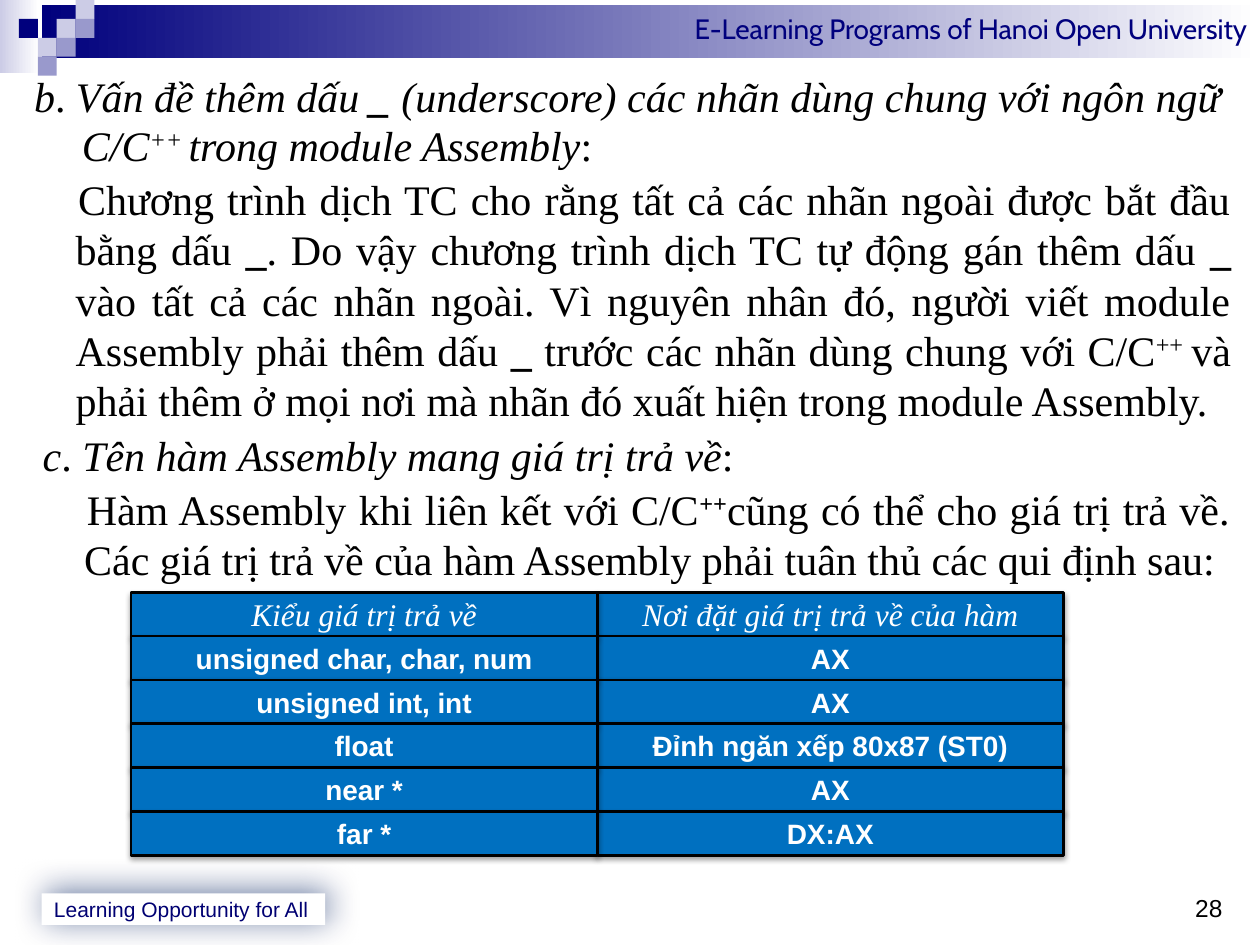
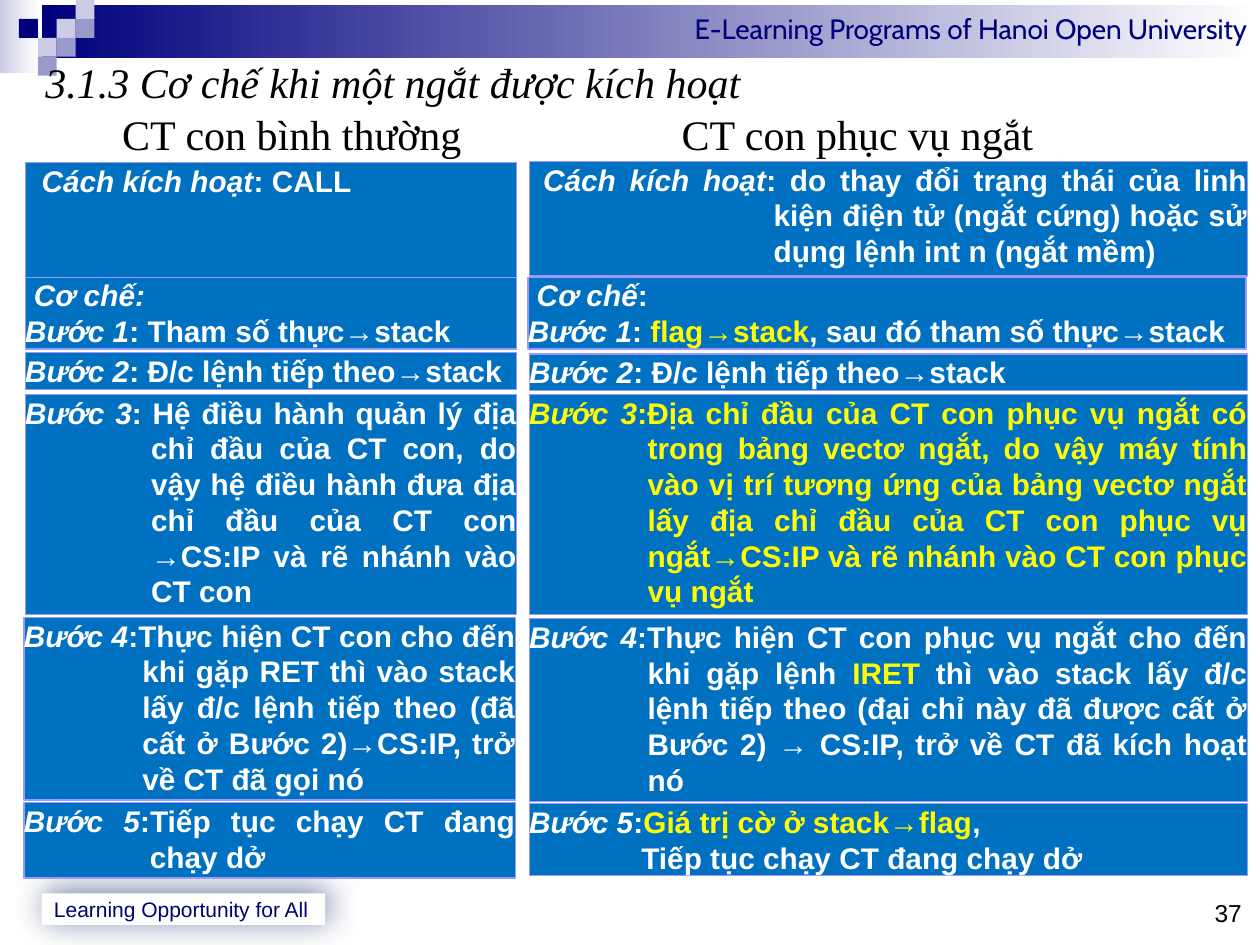
from typing import NamedTuple

from pptx import Presentation
from pptx.dml.color import RGBColor
from pptx.enum.shapes import MSO_SHAPE as Shape
from pptx.enum.text import MSO_ANCHOR as Anchor, MSO_AUTO_SIZE as AutoSize, PP_ALIGN as Align
from pptx.oxml import parse_xml
from pptx.oxml.ns import nsdecls
from pptx.util import Inches, Pt

NAVY = RGBColor(0x00, 0x00, 0x7D)
FOOTER_NAVY = RGBColor(0x00, 0x00, 0x72)
GLOW_NAVY = RGBColor(0x00, 0x20, 0x60)
LAVENDER = RGBColor(0xCC, 0xCC, 0xE6)
VIOLET = RGBColor(0x99, 0x99, 0xCC)
CARD_EDGE = RGBColor(0x99, 0x99, 0xFF)
BLUE = RGBColor(0x00, 0x70, 0xC0)
YELLOW = RGBColor(0xFF, 0xFF, 0x00)
WHITE = RGBColor(0xFF, 0xFF, 0xFF)
BLACK = RGBColor(0x00, 0x00, 0x00)
SERIF, SANS = "Times New Roman", "Arial"

TILE = 0.15
MOSAIC = [(3, 1, LAVENDER), (4, 0, LAVENDER), (4, 1, VIOLET), (2, 2, LAVENDER),
          (1, 1, NAVY), (3, 2, VIOLET), (2, 3, VIOLET)]

RETURN_VALUES = [
    ("Kiểu giá trị trả về", "Nơi đặt giá trị trả về của hàm"),
    ("unsigned char, char, num", "AX"),
    ("unsigned int, int", "AX"),
    ("float", "Đỉnh ngăn xếp 80x87 (ST0)"),
    ("near *", "AX"),
    ("far *", "DX:AX"),
]


class Para(NamedTuple):
    runs: list
    left: float = 0
    first: float = 0
    align: Align = Align.LEFT


def hanging(runs, left, lead=0):
    return Para(runs, left, lead - left, Align.JUSTIFY)


NORMAL_WIDTH, INTERRUPT_WIDTH = 3.9, 5.7
NORMAL_PLACES = [(0.2, 1.29, 0.91), (0.2, 2.2, 0.57), (0.2, 2.8, 0.29),
                 (0.2, 3.13, 1.75), (0.19, 4.9, 1.45), (0.19, 6.37, 0.6)]
INTERRUPT_PLACES = [(4.2, 1.28, 0.91), (4.19, 2.2, 0.57), (4.2, 2.81, 0.29),
                    (4.2, 3.13, 1.75), (4.2, 4.91, 1.45), (4.2, 6.38, 0.57)]
STEP_2 = [Para([("Bước 2", "i"), ": Đ/c lệnh tiếp theo→stack"])]
NORMAL_CALL = [
    [Para([("Cách kích hoạt", "i"), ": CALL"], first=0.13)],
    [Para([("Cơ chế:", "i")], first=0.07),
     Para([("Bước 1", "i"), ": Tham số thực→stack"])],
    STEP_2,
    [hanging([("Bước 3", "i"), ": Hệ điều hành quản lý địa chỉ đầu của CT con, do vậy hệ điều "
              "hành đưa địa chỉ đầu của CT con →CS:IP và rẽ nhánh vào CT con"], 1)],
    [hanging([("Bước 4", "i"), ":Thực hiện CT con cho đến khi gặp RET thì vào stack lấy đ/c lệnh "
              "tiếp theo (đã cất ở Bước 2)→CS:IP, trở về CT đã gọi nó"], 0.94)],
    [hanging([("Bước 5", "i"), ":Tiếp tục chạy CT đang chạy dở"], 1)],
]
INTERRUPT_CALL = [
    [hanging([("Cách kích hoạt", "i"), ": do thay đổi trạng thái của linh kiện điện tử "
              "(ngắt cứng) hoặc sử dụng lệnh int n (ngắt mềm)"], 1.94, 0.11)],
    [Para([("Cơ chế", "i"), ":"], first=0.07),
     Para([("Bước 1", "i"), ": ", ("flag→stack", "y"), ", sau đó tham số thực→stack"])],
    STEP_2,
    [hanging([("Bước 3", "iy"), (":Địa chỉ đầu của CT con phục vụ ngắt có trong bảng vectơ ngắt, "
              "do vậy máy tính vào vị trí tương ứng của bảng vectơ ngắt lấy địa chỉ đầu của CT con "
              "phục vụ ngắt→CS:IP và rẽ nhánh vào CT con phục vụ ngắt", "y")], 0.94)],
    [hanging([("Bước 4", "i"), ":Thực hiện CT con phục vụ ngắt cho đến khi gặp lệnh ",
              ("IRET ", "y"), "thì vào stack lấy đ/c lệnh tiếp theo (đại chỉ này đã được cất ở "
              "Bước 2) → CS:IP, trở về CT đã kích hoạt nó"], 0.94)],
    [hanging([("Bước 5", "i"), ":", ("Giá trị cờ ở stack→flag", "y"), ","], 0.89),
     Para(["Tiếp tục chạy CT đang chạy dở"], 0.89, 0, Align.JUSTIFY)],
]

LABEL_HEADING = Para([
    ("b", "i"), ". ", ("Vấn đề thêm dấu ", "i"), ("_", "bi"),
    (" (underscore) các nhãn dùng chung với ngôn ngữ C/C", "i"), ("++ ", "i^"),
    ("trong module Assembly", "i"), ":"], 0.38, -0.38)
LABEL_RULE = Para([
    "Chương trình dịch TC cho rằng tất cả các nhãn ngoài được bắt đầu bằng dấu ", ("_", "b"),
    ". Do vậy chương trình dịch TC tự động gán thêm dấu ", ("_ ", "b"),
    "vào tất cả các nhãn ngoài. Vì nguyên nhân đó, người viết module Assembly phải thêm dấu ",
    ("_ ", "b"), "trước các nhãn dùng chung với C/C", ("++ ", "^"),
    "và phải thêm ở mọi nơi mà nhãn đó xuất hiện trong module Assembly."],
    0.33, 0.02, Align.JUSTIFY)
RETURN_HEADING = Para([("c", "i"), ". ", ("Tên hàm Assembly mang giá trị trả về", "i"), ":"],
                      0.38, -0.38)
RETURN_RULE = Para([
    "Hàm Assembly khi liên kết với C/C", ("++", "b^"),
    "cũng có thể cho giá trị trả về. Các giá trị trả về của hàm Assembly phải tuân thủ "
    "các qui định sau:"], 0.33, 0.02, Align.JUSTIFY)


def set_font(font, name, size, color, bold=False, italic=False):
    font.name, font.size, font.bold, font.italic = name, Pt(size), bold, italic
    font.color.rgb = color


def add_run(paragraph, text, flags=""):
    run = paragraph.add_run()
    run.text = text
    if "i" in flags:
        run.font.italic = True
    if "b" in flags:
        run.font.bold = True
    if "y" in flags:
        run.font.color.rgb = YELLOW
    if "^" in flags:
        run._r.get_or_add_rPr().set("baseline", "30000")


def fill_text(frame, paras, name, size, color, bold=False, italic=False, gap=0, inset=None,
              anchor=Anchor.TOP):
    frame.word_wrap = True
    frame.auto_size = AutoSize.NONE
    frame.vertical_anchor = anchor
    if inset is not None:
        frame.margin_left = frame.margin_right = Inches(inset)
        frame.margin_top = frame.margin_bottom = Inches(inset)
    for index, para in enumerate(paras):
        paragraph = frame.add_paragraph() if index else frame.paragraphs[0]
        properties = paragraph._p.get_or_add_pPr()
        properties.set("marL", str(Inches(para.left)))
        properties.set("indent", str(Inches(para.first)))
        properties.append(parse_xml(f"<a:buNone {nsdecls('a')}/>"))
        paragraph.alignment = para.align
        paragraph.space_before = Pt(gap if index else 0)
        set_font(paragraph.font, name, size, color, bold, italic)
        for run in para.runs:
            add_run(paragraph, *([run] if isinstance(run, str) else run))


def place(shape, left, top, width, height):
    shape.left, shape.top = Inches(left), Inches(top)
    shape.width, shape.height = Inches(width), Inches(height)


def add_box(slide, left, top, width, height, color, edge=None, edge_width=0.75):
    box = slide.shapes.add_shape(Shape.RECTANGLE, *map(Inches, (left, top, width, height)))
    box.shadow.inherit = False
    if isinstance(color, RGBColor):
        box.fill.solid()
        box.fill.fore_color.rgb = color
    else:
        box.fill.gradient()
        box.fill.gradient_angle = 0
        for stop, stop_color in zip(box.fill.gradient_stops, color):
            stop.color.rgb = stop_color
    if edge is None:
        box.line.fill.background()
    else:
        box.line.color.rgb = edge
        box.line.width = Pt(edge_width)
    return box


def add_text(slide, left, top, width, height, paras, *font, **options):
    box = slide.shapes.add_textbox(*map(Inches, (left, top, width, height)))
    fill_text(box.text_frame, paras, *font, **options)


def cast_shadow(box, color, opacity, blur, distance, angle):
    effects = box._element.spPr.find("{*}effectLst")
    effects.append(parse_xml(
        f'<a:outerShdw {nsdecls("a")} blurRad="{Pt(blur)}" dist="{Pt(distance)}" '
        f'dir="{angle * 60000}" algn="tl" rotWithShape="0"><a:srgbClr val="{color}">'
        f'<a:alpha val="{opacity * 1000}"/></a:srgbClr></a:outerShdw>'))


def decorate_master(slide, master):
    corner = add_box(slide, 0, 0, 0.31, 0.58, (LAVENDER, WHITE))
    band = add_box(slide, 0.33, 0.04, 9.67, 0.42, (NAVY, WHITE))
    fill_text(band.text_frame, [Para(["E-Learning Programs of Hanoi Open University"],
                                     align=Align.RIGHT)], "Cabin", 16, NAVY)
    tiles = [add_box(slide, column * TILE, row * TILE, TILE, TILE, color)
             for column, row, color in MOSAIC]
    footer = add_box(slide, 0.33, 7.09, 2.25, 0.25, WHITE)
    fill_text(footer.text_frame, [Para(["Learning Opportunity for All"])],
              SANS, 12, FOOTER_NAVY, anchor=Anchor.MIDDLE)
    cast_shadow(footer, GLOW_NAVY, 56, 19, 3, 315)
    for number, part in enumerate([corner, band, *tiles, footer], 101):
        part._element.nvSpPr.cNvPr.set("id", str(number))
        master.shapes._spTree.append(part._element)


def add_return_grid(slide):
    left, top, width, height = 1.04, 4.7, 3.7, 0.35
    pitch = 1.74 / (len(RETURN_VALUES) - 1)
    for column in (1, 0):
        for row, values in enumerate(RETURN_VALUES):
            cell = add_box(slide, left + column * width, top + row * pitch, width, height,
                           BLUE, BLACK, 1.5)
            cast_shadow(cell, BLACK, 38, 3.1, 1.6, 90)
            font = (SANS, 16, WHITE, True) if row else (SERIF, 18, WHITE, False, True)
            fill_text(cell.text_frame, [Para([values[column]], align=Align.CENTER)], *font,
                      anchor=Anchor.MIDDLE)


def build_label_slide(slide):
    title, body = slide.placeholders
    title._element.getparent().remove(title._element)
    place(body, 0.17, 0.52, 9.7, 2.81)
    fill_text(body.text_frame, [LABEL_HEADING, LABEL_RULE], SERIF, 24, BLACK, gap=2)
    body.text_frame.paragraphs[0].line_spacing = Pt(28)
    number = slide.shapes.add_shape(Shape.OVAL, *map(Inches, (9.3, 6.99, 0.6, 0.34)))
    number.shadow.inherit = False
    number.fill.background()
    number.line.fill.background()
    fill_text(number.text_frame, [Para(["28"])], SANS, 14, BLACK)
    add_text(slide, 0.24, 3.36, 9.62, 3.78, [RETURN_HEADING, RETURN_RULE],
             SERIF, 24, BLACK, gap=2)
    add_return_grid(slide)


def build_interrupt_slide(slide):
    title = slide.shapes.title
    place(title, 0.26, 0.4, 9.7, 0.5)
    fill_text(title.text_frame, [Para(["3.1.3 Cơ chế khi một ngắt được kích hoạt"])],
              SERIF, 24, BLACK, italic=True)
    for left, heading in ((0.97, "CT con bình thường"), (5.41, "CT con phục vụ ngắt")):
        add_text(slide, left, 0.86, 3.5, 0.4, [Para([heading])], SERIF, 24, BLACK, inset=0)
    for width, places, calls in ((NORMAL_WIDTH, NORMAL_PLACES, NORMAL_CALL),
                                 (INTERRUPT_WIDTH, INTERRUPT_PLACES, INTERRUPT_CALL)):
        for (left, top, height), paras in zip(places, calls):
            card = add_box(slide, left, top, width, height, BLUE, CARD_EDGE)
            fill_text(card.text_frame, paras, SANS, 17, WHITE, bold=True, inset=0)
    add_text(slide, 9.64, 7.13, 0.36, 0.26, [Para(["37"])], SANS, 14, BLACK, inset=0)


def main():
    deck = Presentation()
    deck.slide_width, deck.slide_height = Inches(10), Inches(7.5)
    text_layout, title_layout = deck.slide_layouts[1], deck.slide_layouts[5]
    label_slide = deck.slides.add_slide(text_layout)
    decorate_master(label_slide, deck.slide_master)
    build_label_slide(label_slide)
    build_interrupt_slide(deck.slides.add_slide(title_layout))
    deck.save("out.pptx")


if __name__ == "__main__":
    main()
